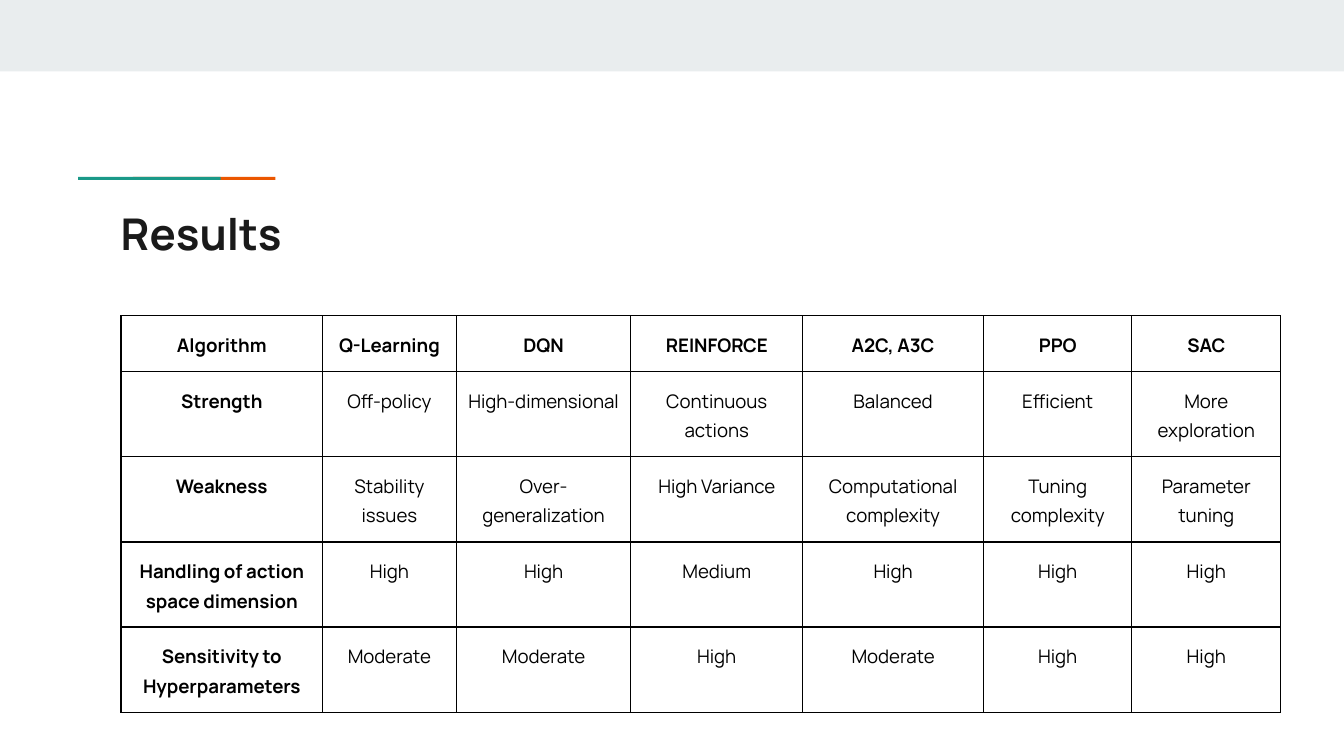
import pptx
import pptx.util
import pptx.dml.color
import pptx.enum.shapes
import pptx.enum.text
import pptx.oxml
import pptx.oxml.ns

Pt = pptx.util.Pt
ALIGN = pptx.enum.text.PP_ALIGN
FONT = "Manrope"
COLUMN_WIDTHS = [108, 71.6, 93.6, 92, 97, 79.4, 79.8]
ROW_HEIGHTS = [30] + [45.6] * 4
RESULTS = [
    ["Algorithm", "Q-Learning", "DQN", "REINFORCE", "A2C, A3C", "PPO", "SAC"],
    ["Strength", "Off-policy", "High-dimensional", "Continuous actions",
     "Balanced", "Efficient", "More exploration"],
    ["Weakness", "Stability issues", "Over-generalization", "High Variance",
     "Computational complexity", "Tuning complexity", "Parameter tuning"],
    ["Handling of action space dimension", "High", "High", "Medium",
     "High", "High", "High"],
    ["Sensitivity to Hyperparameters", "Moderate", "Moderate", "High",
     "Moderate", "High", "High"],
]


def color(value):
    return pptx.dml.color.RGBColor.from_string(value)


def write_text(frame, text, size, fill="000000", bold=False,
               align=ALIGN.LEFT, spacing=1.0):
    frame.word_wrap = True
    para = frame.paragraphs[0]
    para.alignment = align
    para.line_spacing = spacing
    span = para.add_run()
    span.text = text
    span.font.name = FONT
    span.font.size = Pt(size)
    span.font.bold = bold
    span.font.color.rgb = color(fill)


def set_margins(holder, side, end):
    holder.margin_left = holder.margin_right = Pt(side)
    holder.margin_top = holder.margin_bottom = Pt(end)


def add_bar(page, left, top, width, height, fill):
    bar = page.shapes.add_shape(
        pptx.enum.shapes.MSO_SHAPE.RECTANGLE,
        Pt(left), Pt(top), Pt(width), Pt(height))
    bar.shadow.inherit = False
    bar.fill.solid()
    bar.fill.fore_color.rgb = color(fill)
    bar.line.fill.background()


def add_title(page, text):
    box = page.shapes.add_textbox(Pt(57.6), Pt(103.7), Pt(605.5), Pt(42.5))
    set_margins(box.text_frame, 7.2, 7.2)
    write_text(box.text_frame, text, 23.4, fill="1A1A1A", bold=True)


def set_borders(cell, line="000000", width=0.75):
    """Draw all four edges; they must come before the fill in tcPr."""
    properties = cell._tc.get_or_add_tcPr()
    for index, edge in enumerate(("lnL", "lnR", "lnT", "lnB")):
        border = pptx.oxml.parse_xml(
            f'<a:{edge} {pptx.oxml.ns.nsdecls("a")} w="{Pt(width)}">'
            f'<a:solidFill><a:srgbClr val="{line}"/></a:solidFill></a:{edge}>')
        properties.insert(index, border)


def add_table(page, rows, left, top):
    frame = page.shapes.add_table(
        len(rows), len(rows[0]), Pt(left), Pt(top),
        Pt(sum(COLUMN_WIDTHS)), Pt(sum(ROW_HEIGHTS)))
    table = frame.table
    table.first_row = table.horz_banding = False
    for column, width in zip(table.columns, COLUMN_WIDTHS):
        column.width = Pt(width)
    for row, height in zip(table.rows, ROW_HEIGHTS):
        row.height = Pt(height)
    for i, row in enumerate(rows):
        for j, text in enumerate(row):
            cell = table.cell(i, j)
            cell.fill.background()
            set_margins(cell, 5, 7.2)
            set_borders(cell)
            write_text(cell.text_frame, text, 10, bold=i == 0 or j == 0,
                       align=ALIGN.CENTER, spacing=1.15)


def main():
    deck = pptx.Presentation()
    deck.slide_width, deck.slide_height = Pt(720), Pt(405)
    page = deck.slides.add_slide(deck.slide_layouts[6])
    add_bar(page, 0, 0, 720, 38.3, "E9EDEE")
    for left, fill in ((71.2, "EB5600"), (41.8, "1A9988")):
        add_bar(page, left, 94.8, 76.4, 1.6, fill)
    add_title(page, "Results")
    add_table(page, RESULTS, 64.8, 169.2)
    deck.save("out.pptx")


if __name__ == "__main__":
    main()
